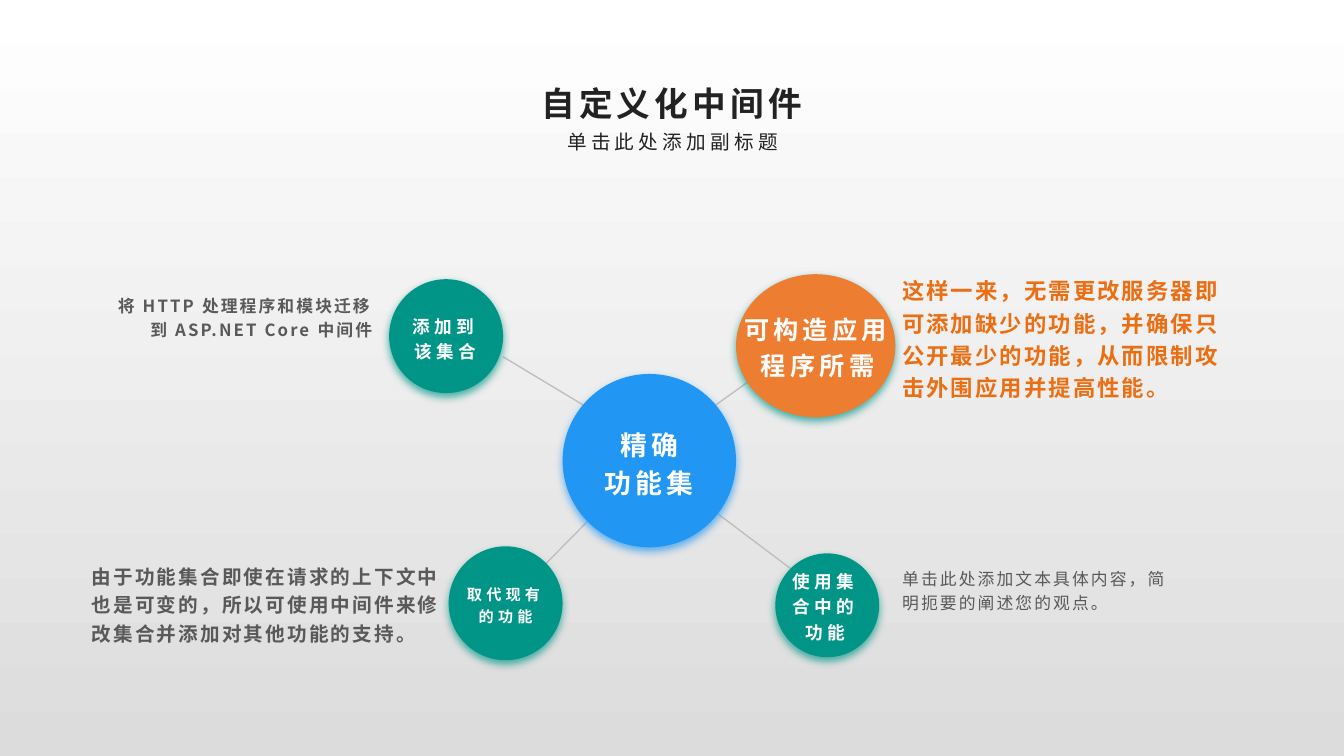
from lxml import etree
from pptx import Presentation
from pptx.dml.color import RGBColor
from pptx.enum.shapes import MSO_CONNECTOR, MSO_SHAPE
from pptx.enum.text import MSO_ANCHOR, MSO_AUTO_SIZE, PP_ALIGN
from pptx.oxml.ns import qn
from pptx.util import Inches, Pt

STRAIGHT = MSO_CONNECTOR.STRAIGHT
OVAL = MSO_SHAPE.OVAL
TOP, MIDDLE, BOTTOM = MSO_ANCHOR.TOP, MSO_ANCHOR.MIDDLE, MSO_ANCHOR.BOTTOM
LEFT, CENTER, RIGHT = PP_ALIGN.LEFT, PP_ALIGN.CENTER, PP_ALIGN.RIGHT
FONT = "Noto Sans CJK SC"
COLORS = {
    "white": "FFFFFF", "backdrop": "DCDCDC", "spoke": "BFBFBF",
    "teal": "009587", "blue": "2196F3", "orange": "ED7D31",
    "accent": "EC6E12", "heading": "222222", "body": "595959",
}


def rgb(name):
    return RGBColor.from_string(COLORS[name])


def write(holder, text, size, color, bold, spacing, align, anchor, top=0.05, bottom=0.05):
    frame = holder.text_frame
    frame.text = text
    frame.word_wrap = True
    frame.auto_size = MSO_AUTO_SIZE.NONE
    frame.vertical_anchor = anchor
    frame.margin_left = frame.margin_right = Inches(0.1)
    frame.margin_top, frame.margin_bottom = Inches(top), Inches(bottom)
    for paragraph in frame.paragraphs:
        paragraph.alignment = align
        paragraph.line_spacing = 1.2
        paragraph.space_before = Pt(0)
        for run in paragraph.runs:
            run.font.size, run.font.bold, run.font.name = Pt(size), bold, FONT
            run.font.color.rgb = rgb(color)
            properties = run.font._element
            properties.set("spc", str(int(spacing * 100)))
            etree.SubElement(properties, qn("a:ea"), typeface=FONT)


prs = Presentation()
prs.slide_width, prs.slide_height = Inches(13.33), Inches(7.5)
slide = prs.slides.add_slide(prs.slide_layouts[5])
shapes = slide.shapes

backdrop = slide.background.fill
backdrop.gradient()
backdrop.gradient_angle = 270
for stop, name in zip(backdrop.gradient_stops, ("white", "backdrop")):
    stop.color.rgb = rgb(name)

spokes = [
    (4.99, 3.54, 6.07, 4.19), (5.83, 5.17, 5.02, 5.99),
    (6.95, 4.97, 7.84, 5.64), (7.04, 4.06, 7.85, 3.48),
]
for ends in spokes:
    spoke = shapes.add_connector(STRAIGHT, *map(Inches, ends))
    spoke.line.color.rgb = rgb("spoke")
    spoke.line.width = Pt(1)
    etree.SubElement(spoke._element.spPr, qn("a:effectLst"))

circles = [
    (7.3, 2.72, 1.58, 1.42, "orange", "teal"),
    (3.86, 2.77, 1.13, 1.13, "teal", "teal"),
    (4.45, 5.42, 1.13, 1.13, "teal", "teal"),
    (7.69, 5.49, 1.03, 1.03, "teal", "teal"),
    (5.58, 3.71, 1.72, 1.72, "blue", "blue"),
]
for *box, fill, glow in circles:
    circle = shapes.add_shape(OVAL, *map(Inches, box))
    circle.fill.solid()
    circle.fill.fore_color.rgb = rgb(fill)
    circle.line.fill.background()
    circle.shadow.inherit = False
    effects = circle._element.spPr.find(qn("a:effectLst"))
    shadow = etree.SubElement(
        effects, qn("a:outerShdw"), blurRad=str(Pt(6)), dist=str(Pt(3)),
        dir="5400000", algn="t", rotWithShape="0")
    tint = etree.SubElement(shadow, qn("a:srgbClr"), val=COLORS[glow])
    etree.SubElement(tint, qn("a:alpha"), val="70000")
hub = circle
write(hub, "精确\n功能集", 19.2, "white", True, 3, CENTER, MIDDLE)

circle_labels = [
    (3.98, 2.94, 0.88, 0.8, "添加到该集合", 12.6),
    (7.66, 5.53, 1.06, 0.94, "使用集合中的功能", 12.6),
    (7.28, 2.95, 1.66, 0.93, "可构造应用程序所需", 18),
    (4.51, 5.59, 1.01, 0.8, "取代现有的功能", 10.8),
]
for *box, text, size in circle_labels:
    label = shapes.add_textbox(*map(Inches, box))
    write(label, text, size, "white", True, 3, CENTER, MIDDLE)

title = shapes.title
title.left, title.top, title.width, title.height = map(Inches, (0.5, 0.65, 12.32, 0.57))
write(title, "自定义化中间件", 24, "heading", True, 3, CENTER, BOTTOM, bottom=0)

subtitle = shapes.add_textbox(*map(Inches, (4.05, 1.24, 5.24, 0.34)))
write(subtitle, "单击此处添加副标题", 14, "heading", False, 3, CENTER, TOP, top=0)

descriptions = [
    (8.85, 2.65, 3.37, "这样一来，无需更改服务器即可添加缺少的功能，并确保只公开最少的功能，从而限制攻击外围应用并提高性能。",
     16, "accent", True, LEFT),
    (8.85, 5.55, 2.83, "单击此处添加文本具体内容，简明扼要的阐述您的观点。", 12, "body", False, LEFT),
    (0.91, 2.84, 2.88, "将 HTTP 处理程序和模块迁移到 ASP.NET Core 中间件", 12, "body", True, RIGHT),
    (0.81, 5.51, 3.7, "由于功能集合即使在请求的上下文中也是可变的，所以可使用中间件来修改集合并添加对其他功能的支持。",
     14, "body", True, LEFT),
]
for left, top, width, text, size, color, bold, align in descriptions:
    description = shapes.add_textbox(*map(Inches, (left, top, width, 1.16)))
    write(description, text, size, color, bold, 1.5, align, TOP)

prs.save("out.pptx")
